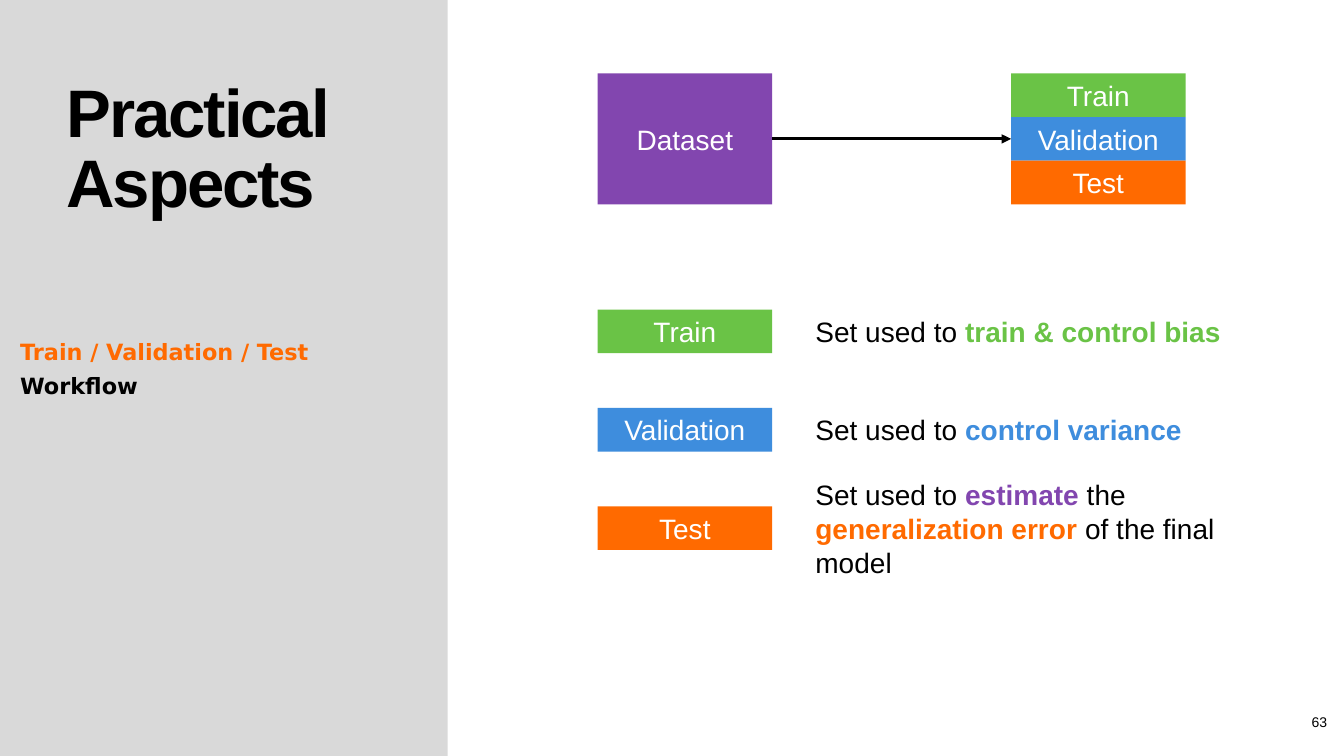
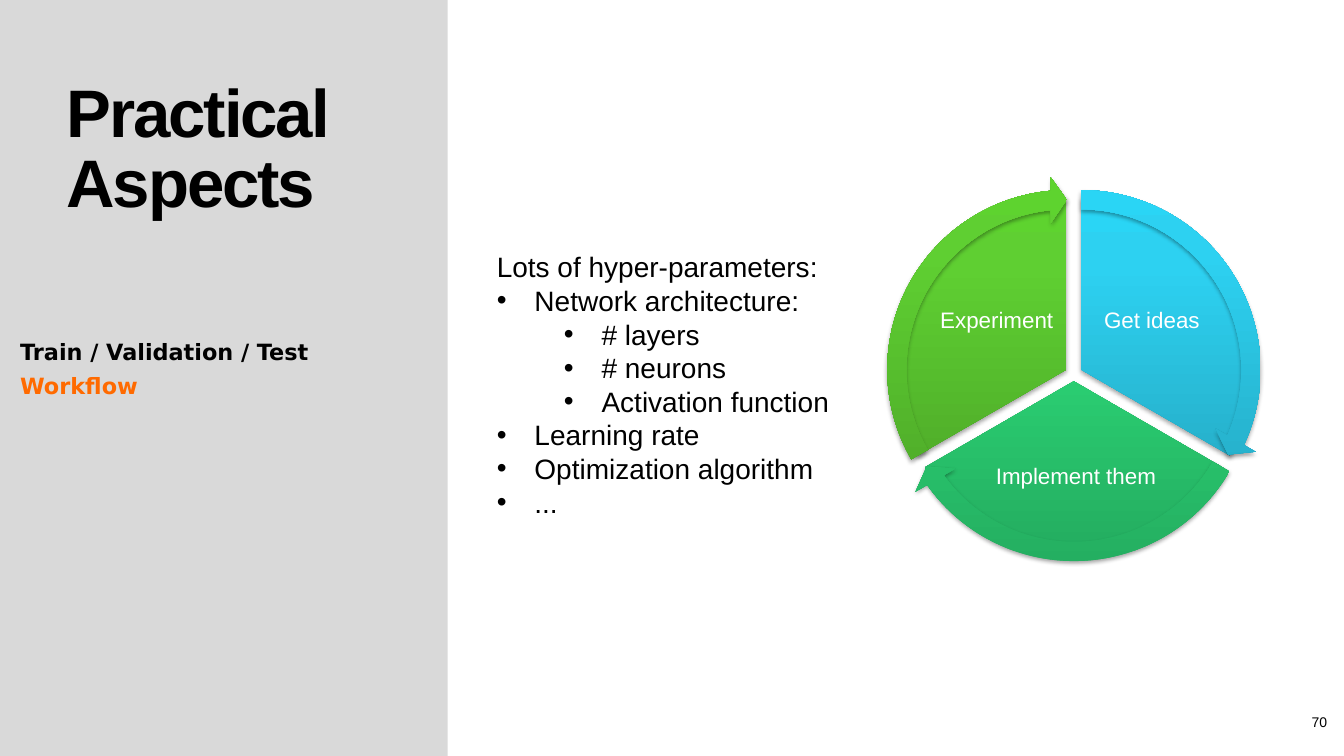
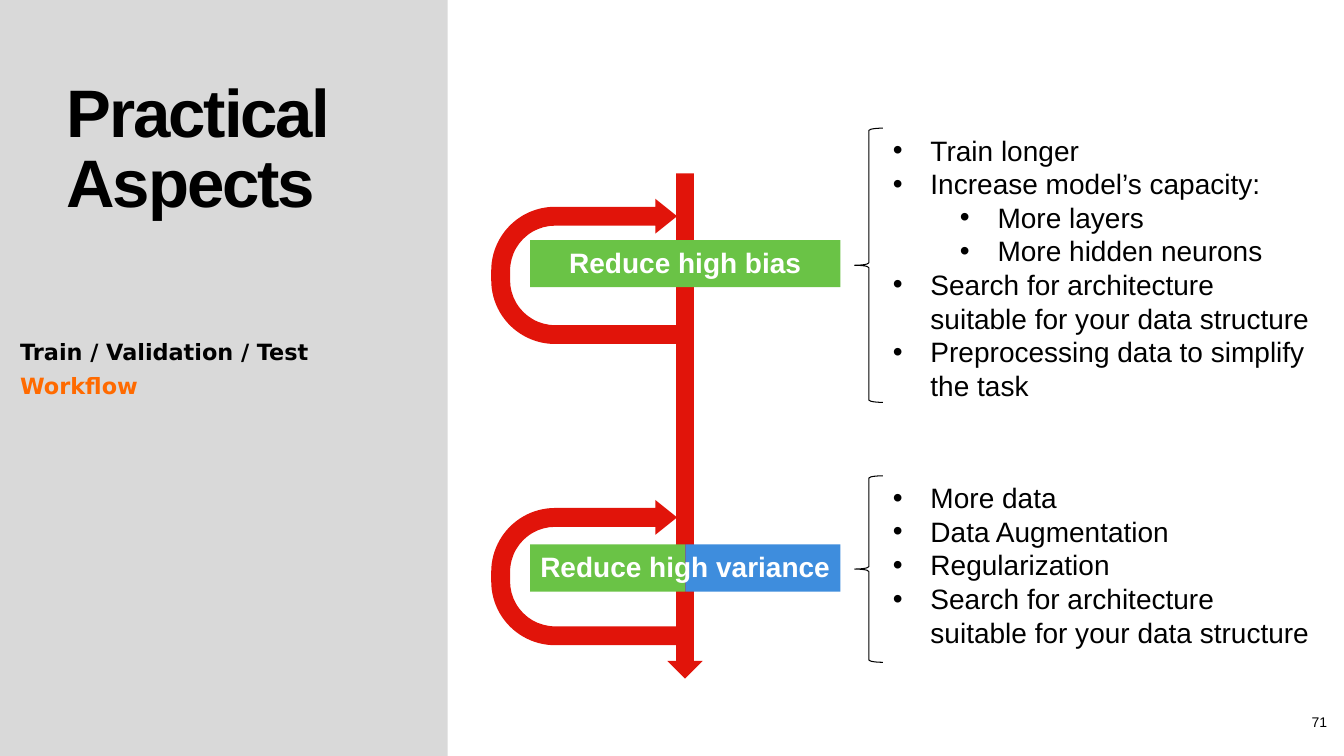
import pptx
import pptx.util
import pptx.dml.color
import pptx.enum.shapes
import pptx.enum.text
import pptx.oxml.ns
from lxml import etree

Cm = pptx.util.Cm
Pt = pptx.util.Pt
SHAPE = pptx.enum.shapes.MSO_SHAPE
ALIGN = pptx.enum.text.PP_ALIGN
MIDDLE = pptx.enum.text.MSO_ANCHOR.MIDDLE
qn = pptx.oxml.ns.qn


class Theme:
    black, white, gray = "000000", "FFFFFF", "D9D9D9"
    green, blue, orange = "6AC346", "3E8DDD", "FF6A00"
    purple, red = "8246AF", "E1140A"
    font, menu_font = "Arial", "DejaVu Sans"
    title, text, small, page = 48, 20, 16, 10


TITLE = "Practical Aspects"
MENU = ["Train / Validation / Test", "Workflow"]

# name, colour, runs (text, colour), text top relative to the row, text height
SETS = [
    ("Train", Theme.green,
     [("Set used to ", None), ("train & control bias", Theme.green)], 0, 1.98),
    ("Validation", Theme.blue,
     [("Set used to ", None), ("control variance", Theme.blue)], 0, 1.98),
    ("Test", Theme.orange,
     [("Set used to ", None), ("estimate ", Theme.purple), ("the", None),
      (" generalization error ", Theme.orange),
      ("of the final model", None)], -0.84, 2.77),
]

# level, text; level None has no bullet
PARAMS = [
    (None, "Lots of hyper-parameters:"),
    (0, "Network architecture:"),
    (1, "# layers"),
    (1, "# neurons"),
    (1, "Activation function"),
    (0, "Learning rate"),
    (0, "Optimization algorithm"),
    (0, "..."),
]

# label, label box, pie corner, pie angles, arrow angles, gradient stops
CYCLE = [
    ("Get ideas", (27.48, 6.81, 3.1, 2.57), (22.91, 4.98),
     (162, 18), (14.72, 161.99), ("23A1B9", "2DD1F1", "2AD5F5")),
    ("Implement them", (24.79, 10.9, 4.65, 2.26), (22.73, 5.28),
     (18, 90), (86.72, 18), ("24AD60", "2EE17C", "2BE57C")),
    ("Experiment", (23.57, 6.81, 3.1, 2.57), (22.55, 4.98),
     (90, 162), (158.73, 90), ("49A026", "5FCF32", "5ED32F")),
]

# label, bar top, bar colours, list top, list height, loop top, items
STEPS = [
    ("Reduce high bias", 6.05, [Theme.green], 3.23, 6.91, 4.45, [
        (0, "Train longer"),
        (0, "Increase model’s capacity:"),
        (1, "More layers"),
        (1, "More hidden neurons"),
        (0, "Search for architecture suitable for your data structure"),
        (0, "Preprocessing data to simplify the task")]),
    ("Reduce high variance", 13.72, [Theme.green, Theme.blue],
     11.99, 4.7, 12.04, [
        (0, "More data"),
        (0, "Data Augmentation"),
        (0, "Regularization"),
        (0, "Search for architecture suitable for your data structure")]),
]


def rgb(code):
    return pptx.dml.color.RGBColor.from_string(code)


def style(font, size, color, bold=False, name=Theme.font):
    font.name, font.size, font.bold = name, Pt(size), bold
    font.color.rgb = rgb(color)


def place(slide, kind, box, fill=None, line=None, adj=()):
    shape = slide.shapes.add_shape(kind, *map(Cm, box))
    shape.shadow.inherit = False
    if fill:
        shape.fill.solid()
        shape.fill.fore_color.rgb = rgb(fill)
    else:
        shape.fill.background()
    if line:
        shape.line.color.rgb = rgb(line)
        shape.line.width = Pt(0.75)
    else:
        shape.line.fill.background()
    for i, value in enumerate(adj):
        shape.adjustments[i] = value
    return shape


def text_box(slide, box, inset=None):
    frame = slide.shapes.add_textbox(*map(Cm, box)).text_frame
    frame.word_wrap = True
    if inset is not None:
        frame.margin_left = frame.margin_right = Cm(inset)
        frame.margin_top = frame.margin_bottom = Cm(inset)
    return frame


def label(frame, text, size=Theme.text, color=Theme.white, bold=False):
    """Write one centred line."""
    para = frame.paragraphs[0]
    para.text = text
    para.alignment = ALIGN.CENTER
    style(para.font, size, color, bold)
    return para


def block(slide, box, text, fill):
    shape = place(slide, SHAPE.RECTANGLE, box, fill)
    shape.text_frame.vertical_anchor = MIDDLE
    label(shape.text_frame, text)
    return shape


def next_para(frame, i):
    return frame.add_paragraph() if i else frame.paragraphs[0]


def bullets(slide, box, items):
    frame = text_box(slide, box)
    for i, (level, text) in enumerate(items):
        para = next_para(frame, i)
        para.text = text
        if level is not None:
            para.level = level
            props = para._p.get_or_add_pPr()
            props.set("marL", str(Cm((0.95, 2.64)[level])))
            props.set("indent", str(-Cm(0.95)))
            etree.SubElement(props, qn("a:buFont"), typeface="Arial")
            etree.SubElement(props, qn("a:buChar"), char="•")
        style(para.font, Theme.text, Theme.black)


def add_page(deck, number, active):
    """Add a slide with the side band, title, menu and page number."""
    slide = deck.slides.add_slide(deck.slide_layouts[6])
    place(slide, SHAPE.RECTANGLE, (0, 0, 11.28, 19.05), Theme.gray)

    frame = text_box(slide, (32.64, 17.98, 1.22, 0.43), 0)
    frame.vertical_anchor = MIDDLE
    label(frame, str(number), Theme.page, Theme.black)

    frame = text_box(slide, (0.51, 8.36, 10.77, 7.49), 0)
    for i, text in enumerate(MENU):
        para = next_para(frame, i)
        para.text = text
        para.line_spacing = Pt(24)
        color = Theme.orange if i == active else Theme.black
        style(para.font, Theme.small, color, True, Theme.menu_font)

    para = text_box(slide, (1.68, 2.03, 9.6, 5.41), 0).paragraphs[0]
    para.text = TITLE
    para.line_spacing = Pt(50)
    style(para.font, Theme.title, Theme.black, True)
    para.runs[0]._r.get_or_add_rPr().set("spc", "-150")
    return slide


def gloss(shape, colors):
    """Give a shape an upward gradient and a soft shadow."""
    shape.fill.gradient()
    shape.fill.gradient_angle = 90
    props = shape._element.spPr
    stops = props.find(".//" + qn("a:gsLst"))
    for stop in list(stops):
        stops.remove(stop)
    for spot, color in zip((0, 80000, 100000), colors):
        stop = etree.SubElement(stops, qn("a:gs"), pos=str(spot))
        etree.SubElement(stop, qn("a:srgbClr"), val=color)
    shade = etree.SubElement(
        props.find(qn("a:effectLst")), qn("a:outerShdw"), blurRad="40000",
        dist="23000", dir="5400000", rotWithShape="0")
    tint = etree.SubElement(shade, qn("a:srgbClr"), val=Theme.black)
    etree.SubElement(tint, qn("a:alpha"), val="35000")


def link(slide, start, end):
    """Join the right side of one block to the left side of another."""
    arrow = slide.shapes.add_connector(
        pptx.enum.shapes.MSO_CONNECTOR.STRAIGHT, 0, 0, 0, 0)
    arrow.begin_connect(start, 3)
    arrow.end_connect(end, 1)
    arrow.line.color.rgb = rgb(Theme.black)
    arrow.line.width = Pt(2.25)
    etree.SubElement(arrow.line._get_or_add_ln(), qn("a:tailEnd"),
                     type="triangle")
    etree.SubElement(arrow._element.spPr, qn("a:effectLst"))


def draw_sets(slide):
    left, wide, high = 15.06, 4.4, 1.1
    parts = [block(slide, (25.48, 1.85 + i * high, wide, high), name, color)
             for i, (name, color, *_) in enumerate(SETS)]
    whole = block(slide, (left, 1.85, wide, 3 * high), "Dataset",
                  Theme.purple)
    link(slide, whole, parts[1])
    for i, (name, color, runs, shift, tall) in enumerate(SETS):
        top = 7.8 + i * 2.48
        block(slide, (left, top, wide, high), name, color)
        frame = text_box(slide, (20.3, top + shift, 12.34, tall))
        para = frame.paragraphs[0]
        style(para.font, Theme.text, Theme.black)
        for text, accent in runs:
            run = para.add_run()
            run.text = text
            if accent:
                run.font.bold = True
                run.font.color.rgb = rgb(accent)


def draw_cycle(slide):
    for text, box, (x, y), angles, _, colors in CYCLE:
        pie = place(slide, SHAPE.PIE, (x, y, 8.66, 8.66), adj=angles)
        gloss(pie, colors)
        frame = text_box(slide, box, 0.05)
        frame.vertical_anchor = MIDDLE
        label(frame, text, Theme.small).line_spacing = 0.9
    for _, _, (x, y), _, (end, start), colors in CYCLE:
        arrow = place(slide, SHAPE.CIRCULAR_ARROW,
                      (x - 0.53, y - 0.53, 9.73, 9.73),
                      adj=(0.05, 3.28, end, start, 0.06))
        gloss(arrow, colors)
    bullets(slide, (12.27, 6.17, 9.8, 7.62), PARAMS)


def draw_steps(slide):
    left, wide, high = 13.36, 7.82, 1.19
    place(slide, SHAPE.DOWN_ARROW, (16.82, 4.37, 0.89, 12.73), Theme.red)
    for text, top, colors, list_top, tall, loop_top, items in STEPS:
        part = wide / len(colors)
        for i, color in enumerate(colors):
            place(slide, SHAPE.RECTANGLE,
                  (left + i * part, top, part, high), color)
        label(text_box(slide, (left, top, wide, high)), text, bold=True)
        bullets(slide, (22.25, list_top, 11.18, tall), items)
        place(slide, SHAPE.LEFT_BRACE, (21.54, list_top, 0.71, tall),
              line=Theme.black)
        loop = place(slide, SHAPE.U_TURN_ARROW,
                     (12.94, loop_top, 3.66, 4.78), Theme.red,
                     adj=(0.13, 0.12, 0.15, 0.44, 0.98))
        loop.rotation = 90
        frame = loop._element.spPr.find(qn("a:xfrm"))
        frame.set("flipH", "1")
        frame.set("flipV", "1")


# page number, active menu entry, content
PAGES = [(63, 0, draw_sets), (70, 1, draw_cycle), (71, 1, draw_steps)]


def main():
    deck = pptx.Presentation()
    deck.slide_width, deck.slide_height = Cm(33.87), Cm(19.05)
    for number, active, draw in PAGES:
        draw(add_page(deck, number, active))
    deck.save("out.pptx")


if __name__ == "__main__":
    main()
